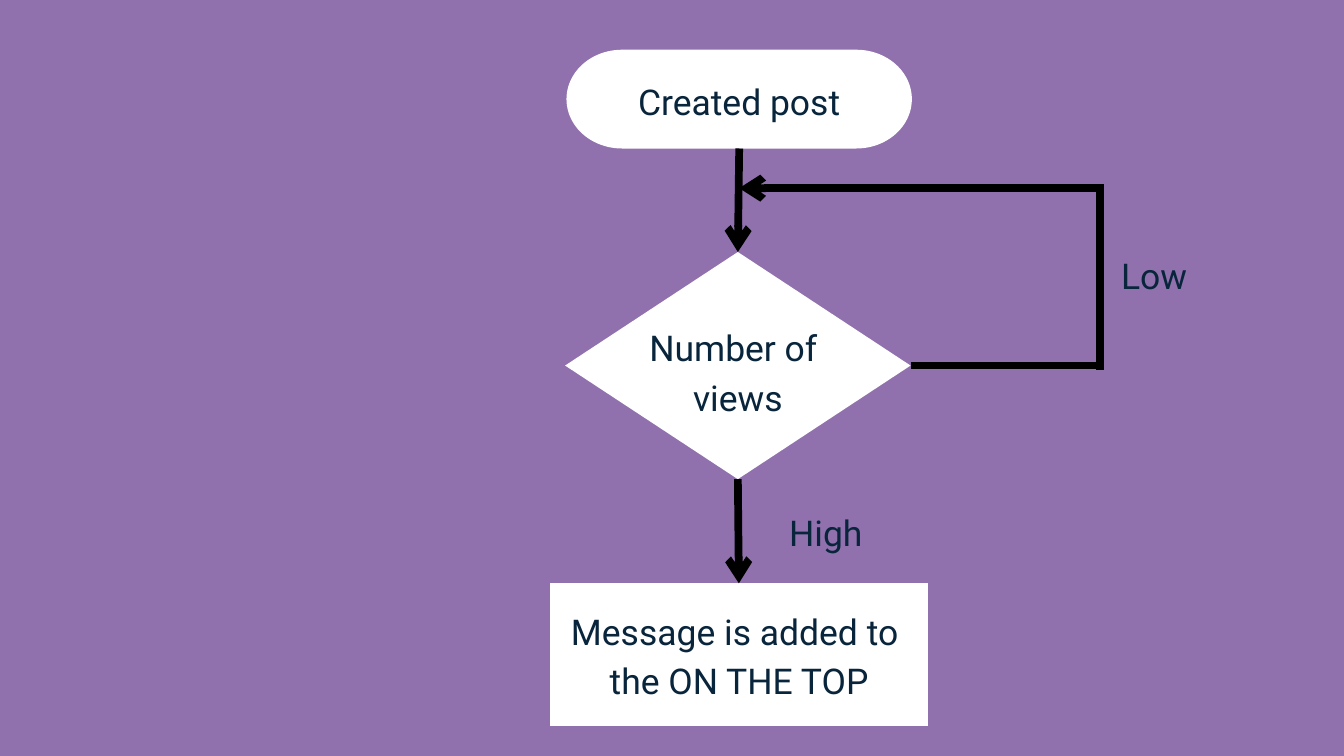
from lxml import etree
from pptx import Presentation
from pptx.dml.color import RGBColor
from pptx.enum.shapes import MSO_CONNECTOR as CONN, MSO_SHAPE as SHAPE
from pptx.enum.text import MSO_AUTO_SIZE as AUTO, PP_ALIGN as ALIGN
from pptx.oxml.ns import qn
from pptx.util import Inches, Pt

COLORS = {"background": "9171AD", "box": "FFFFFF", "line": "000000", "text": "08253C"}


def rgb(name):
    return RGBColor.from_string(COLORS[name])


prs = Presentation()
prs.slide_width, prs.slide_height = Inches(20), Inches(11.25)
s = prs.slides.add_slide(prs.slide_layouts[6])
s.background.fill.solid()
s.background.fill.fore_color.rgb = rgb("background")

# Flowchart boxes
boxes = []
for kind, x, y, w, h in [
    (SHAPE.FLOWCHART_TERMINATOR, 8.43, 0.74, 5.14, 1.47),
    (SHAPE.FLOWCHART_DECISION, 8.41, 3.75, 5.14, 3.38),
    (SHAPE.FLOWCHART_PROCESS, 8.18, 8.68, 5.63, 2.12),
]:
    sp = s.shapes.add_shape(kind, Inches(x), Inches(y), Inches(w), Inches(h))
    sp.shadow.inherit = False
    sp.fill.solid()
    sp.fill.fore_color.rgb = rgb("box")
    sp.line.fill.background()
    boxes.append(sp)
start, decision, result = boxes

# Connectors: ends, joined (box, side) pairs, arrowhead
# The upright part of the loop runs half a line width past both corners
for x1, y1, x2, y2, begin, end, arrow in [
    (11, 2.21, 10.98, 3.75, (start, 2), (decision, 0), True),
    (10.98, 7.13, 11, 8.68, (decision, 2), (result, 0), True),
    (13.55, 5.44, 16.37, 5.44, (decision, 3), None, False),
    (16.37, 5.5, 16.37, 2.74, None, None, False),
    (16.37, 2.8, 11, 2.8, None, None, True),
]:
    line = s.shapes.add_connector(
        CONN.STRAIGHT, Inches(x1), Inches(y1), Inches(x2), Inches(y2))
    if begin:
        line.begin_connect(*begin)
    if end:
        line.end_connect(*end)
    line.line.color.rgb = rgb("line")
    line.line.width = Pt(8.25)
    if arrow:
        etree.SubElement(line.line._get_or_add_ln(), qn("a:tailEnd"), type="arrow")
    etree.SubElement(line._element.spPr, qn("a:effectLst"))

# Box texts and branch labels
for text, x, y, w, h in [
    ("Number of \nviews", 8.41, 4.75, 5.14, 1.44),
    ("Low", 16.65, 3.67, 1.05, 0.71),
    ("High", 9.24, 7.5, 6.1, 0.71),
    ("Message is added to \nthe ON THE TOP", 8.28, 8.97, 5.44, 1.44),
    ("Created post", 8.43, 1.08, 5.14, 0.71),
]:
    tf = s.shapes.add_textbox(Inches(x), Inches(y), Inches(w), Inches(h)).text_frame
    tf.margin_left = tf.margin_top = tf.margin_right = tf.margin_bottom = 0
    tf.word_wrap = True
    tf.auto_size = AUTO.SHAPE_TO_FIT_TEXT
    tf.text = text
    for p in tf.paragraphs:
        p.alignment = ALIGN.CENTER
        p.line_spacing = Pt(53.2)
        for r in p.runs:
            r.font.name = "Roboto"
            r.font.size = Pt(38)
            r.font.color.rgb = rgb("text")

prs.save("out.pptx")
